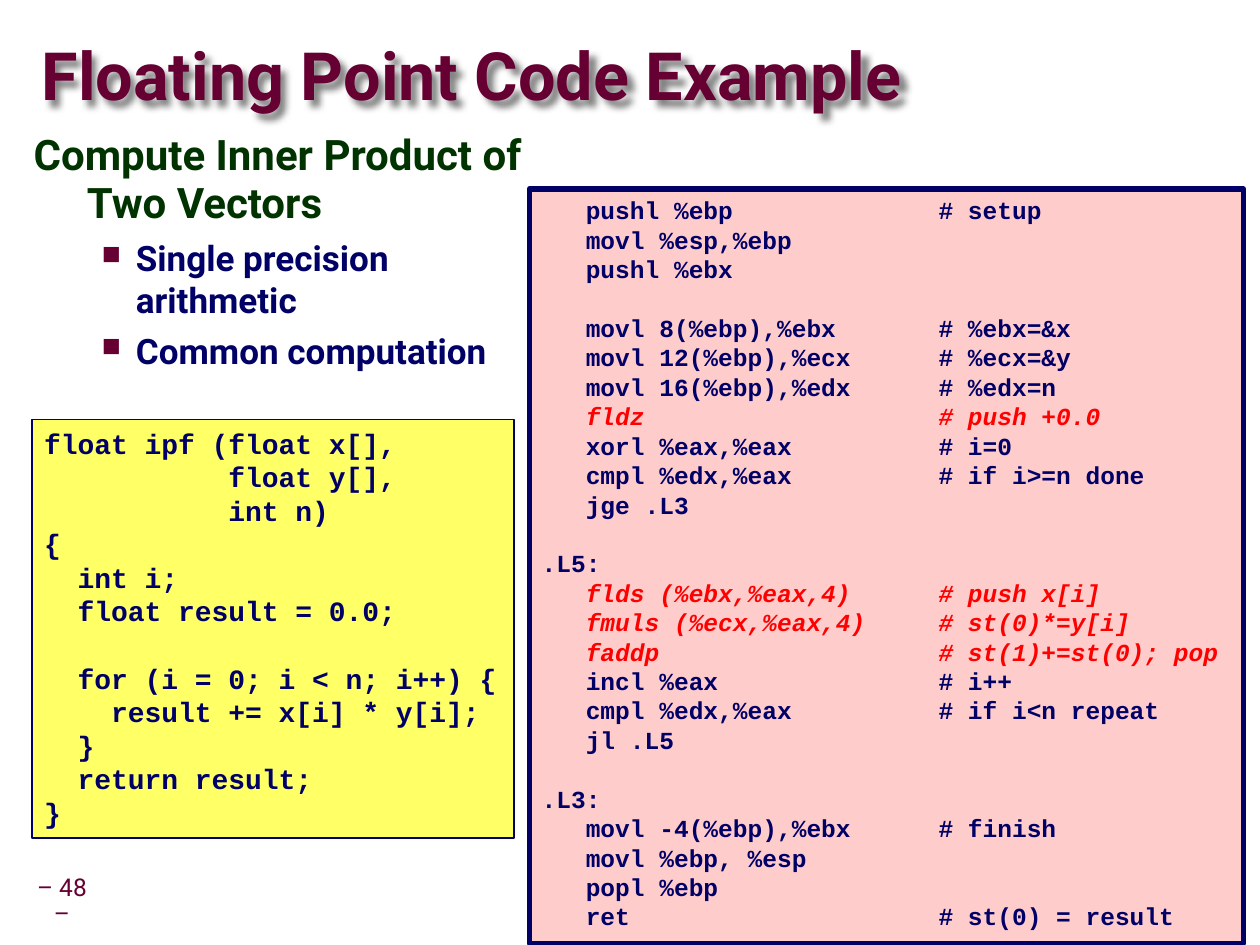
import pptx
import pptx.util
import pptx.dml.color
import pptx.enum.shapes
import pptx.enum.text
import pptx.oxml
import pptx.oxml.ns

Cm, Pt = pptx.util.Cm, pptx.util.Pt
RGB = pptx.dml.color.RGBColor
ANCHOR = pptx.enum.text.MSO_ANCHOR
ALIGN = pptx.enum.text.PP_ALIGN

WINE = RGB(0x66, 0x00, 0x33)
GREEN = RGB(0x00, 0x33, 0x00)
NAVY = RGB(0x00, 0x00, 0x66)
RED = RGB(0xFF, 0x00, 0x00)
YELLOW = RGB(0xFF, 0xFF, 0x66)
PINK = RGB(0xFF, 0xCC, 0xCC)

TITLE = {"name": "Roboto", "size": Pt(38), "bold": True, "color": WINE}
HEAD = {"name": "Roboto", "size": Pt(24), "bold": True, "color": GREEN}
ITEM = {"name": "Roboto", "size": Pt(20), "bold": True, "color": NAVY}
FOOT = {"name": "Roboto", "size": Pt(14), "color": WINE}
CODE = {"name": "Courier New", "size": Pt(16), "bold": True, "color": NAVY}
ASM = {**CODE, "size": Pt(14)}
FLOAT = {**ASM, "color": RED, "italic": True}
FLOAT_OPS = ("fldz", "flds", "fmuls", "faddp")

C_CODE = """float ipf (float x[],
           float y[],
           int n)
{
  int i;
  float result = 0.0;

  for (i = 0; i < n; i++) {
    result += x[i] * y[i];
  }
  return result;
}"""

# A "#" starts the comment column
ASM_CODE = """   pushl %ebp # setup
   movl %esp,%ebp
   pushl %ebx

   movl 8(%ebp),%ebx # %ebx=&x
   movl 12(%ebp),%ecx # %ecx=&y
   movl 16(%ebp),%edx # %edx=n
   fldz # push +0.0
   xorl %eax,%eax # i=0
   cmpl %edx,%eax # if i>=n done
   jge .L3

.L5:
   flds (%ebx,%eax,4) # push x[i]
   fmuls (%ecx,%eax,4) # st(0)*=y[i]
   faddp # st(1)+=st(0); pop
   incl %eax # i++
   cmpl %edx,%eax # if i<n repeat
   jl .L5

.L3:
   movl -4(%ebp),%ebx # finish
   movl %ebp, %esp
   popl %ebp
   ret # st(0) = result"""


def add_xml(parent, body):
    """Append one drawing element, given without its namespace."""
    tag, rest = body.split(" ", 1)
    xml = f"<a:{tag} {pptx.oxml.ns.nsdecls('a')} {rest}"
    parent.append(pptx.oxml.parse_xml(xml))


def style(run, look):
    for key, value in look.items():
        if key == "color":
            run.font.color.rgb = value
        else:
            setattr(run.font, key, value)


def add_para(frame, text, look, **form):
    """Fill the first paragraph, or add one when it is in use."""
    first = frame.paragraphs[0]
    para = frame.add_paragraph() if first.runs else first
    for key, value in form.items():
        setattr(para, key, value)
    for i, part in enumerate(text.split("\v")):
        if i:
            para.add_line_break()
        run = para.add_run()
        run.text = part
        style(run, look)
    return para


def set_frame(frame, pad_x, pad_y, anchor, wrap=True):
    form = {
        "margin_left": pad_x, "margin_right": pad_x,
        "margin_top": pad_y, "margin_bottom": pad_y,
        "vertical_anchor": anchor, "word_wrap": wrap,
    }
    for key, value in form.items():
        setattr(frame, key, value)
    return frame


def add_text(slide, spot, pad_x, pad_y, anchor, wrap=True):
    box = slide.shapes.add_textbox(*map(Cm, spot))
    set_frame(box.text_frame, pad_x, pad_y, anchor, wrap)
    return box


def add_panel(slide, spot, fill, width):
    kind = pptx.enum.shapes.MSO_SHAPE.RECTANGLE
    box = slide.shapes.add_shape(kind, *map(Cm, spot))
    box.shadow.inherit = False
    box.fill.solid()
    box.fill.fore_color.rgb = fill
    box.line.color.rgb = NAVY
    box.line.width = Pt(width)
    return set_frame(box.text_frame, Cm(0.25), Cm(0.13), ANCHOR.TOP)


def add_title(slide):
    box = add_text(slide, (0.84, 0.84, 20.88, 1.55), 0, 0, ANCHOR.MIDDLE)
    add_para(box.text_frame, "Floating Point Code Example", TITLE,
             line_spacing=0.87)
    add_xml(box.element.spPr,
            'effectLst ><a:outerShdw blurRad="50800" dist="53900" '
            'dir="2700000" algn="ctr"><a:srgbClr val="808080"/>'
            '</a:outerShdw></a:effectLst>')


def indent(para, left, hang):
    props = para._p.get_or_add_pPr()
    props.set("marL", str(Cm(left)))
    props.set("indent", str(-Cm(hang)))
    return props


def add_body(slide):
    box = add_text(slide, (0.43, 2.54, 10.8, 15.24), Cm(0.25), Cm(0.13),
                   ANCHOR.TOP)
    frame = box.text_frame
    head = add_para(frame, "Compute Inner Product of Two Vectors", HEAD,
                    line_spacing=0.95)
    indent(head, 1.07, 1.07)
    for text in ("Single precision arithmetic", "Common computation"):
        para = add_para(frame, text, ITEM, level=1, space_before=Pt(5))
        props = indent(para, 2.06, 0.69)
        add_xml(props, f'buClr ><a:srgbClr val="{WINE}"/></a:buClr>')
        add_xml(props, 'buSzPct val="75000"/>')
        add_xml(props, 'buChar char="■"/>')


def add_code(slide):
    frame = add_panel(slide, (0.64, 8.46, 9.73, 8.43), YELLOW, 1)
    for line in C_CODE.split("\n"):
        add_para(frame, line or " ", CODE, alignment=ALIGN.LEFT)


def add_asm(slide):
    frame = add_panel(slide, (10.67, 3.81, 14.4, 15.21), PINK, 3)
    for line in ASM_CODE.split("\n"):
        look = FLOAT if line.strip().startswith(FLOAT_OPS) else ASM
        text = line.replace(" # ", "\t# ") or " "
        para = add_para(frame, text, look, alignment=ALIGN.LEFT)
        add_xml(para._p.get_or_add_pPr(),
                f'tabLst ><a:tab pos="{Cm(8)}" algn="l"/></a:tabLst>')


def add_foot(slide):
    box = add_text(slide, (0.41, 17.78, 1.68, 0.79), Cm(0.13), Cm(0.13),
                   ANCHOR.MIDDLE, False)
    add_para(box.text_frame, "– 48\v–", FOOT, alignment=ALIGN.CENTER,
             line_spacing=0.9)


def main():
    deck = pptx.Presentation()
    deck.slide_width, deck.slide_height = Cm(25.4), Cm(19.05)
    slide = deck.slides.add_slide(deck.slide_layouts[6])
    for part in (add_foot, add_title, add_body, add_code, add_asm):
        part(slide)
    deck.save("out.pptx")


if __name__ == "__main__":
    main()
